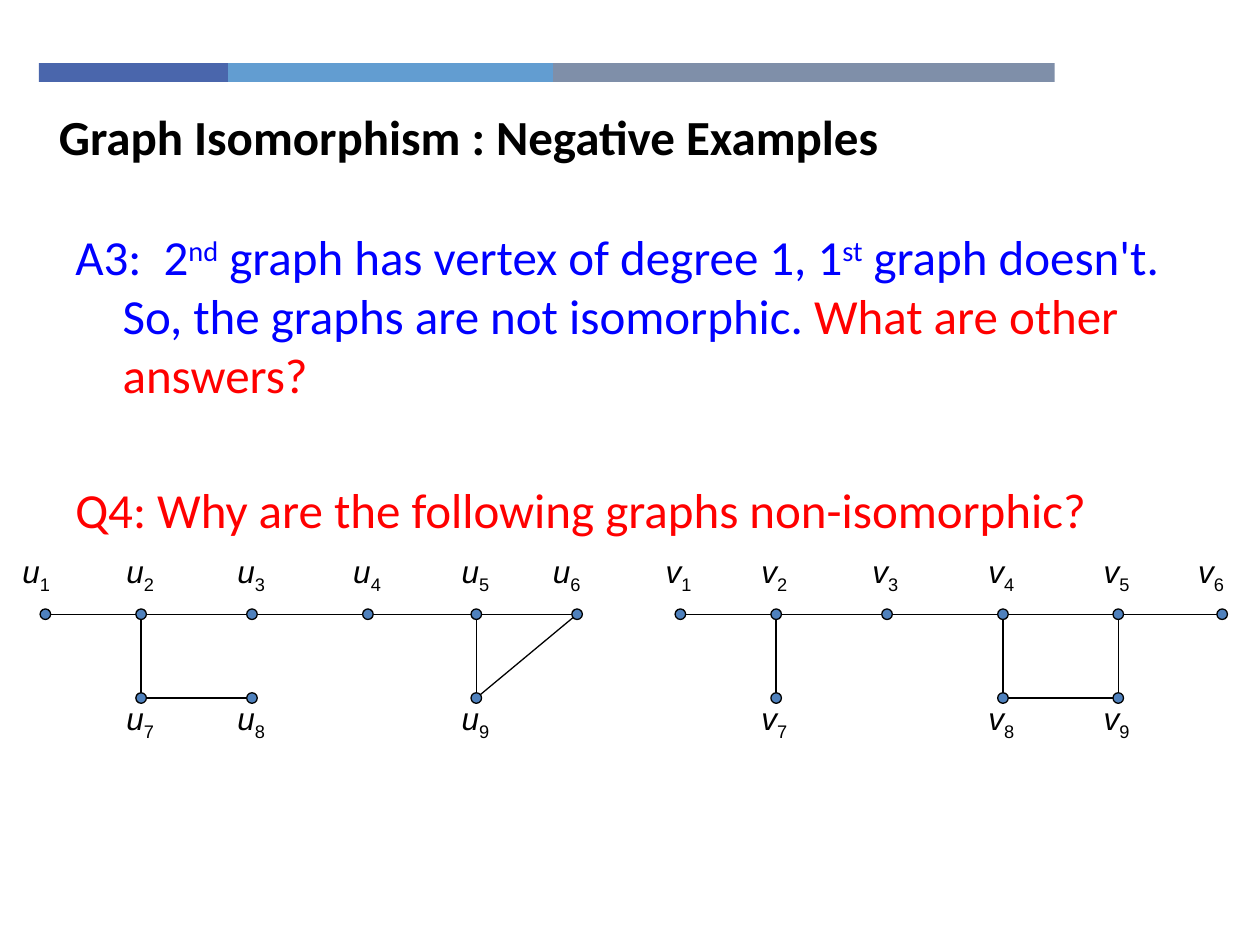
import math
from dataclasses import dataclass

import pptx
import pptx.dml.color
import pptx.enum.shapes
import pptx.util


@dataclass(frozen=True)
class Theme:
    text_font: str = "Calibri"
    label_font: str = "Arial"
    heading_size: int = 28
    label_size: int = 18
    line_width: float = 0.75
    black: str = "000000"
    answer: str = "0000FF"
    question: str = "FF0000"
    vertex: str = "4F81BD"
    bands: tuple = ("4A66AC", "629DD1", "7F8FA9")


class Deck:
    """Draws styled elements on one slide, placed on a 100 by 75 grid."""

    COLS, ROWS = 100, 75
    RADIUS = 0.42

    def __init__(self, theme):
        self.theme = theme
        self.prs = pptx.Presentation()
        self.prs.slide_width = pptx.util.Inches(10)
        self.prs.slide_height = pptx.util.Inches(7.5)
        self.s = self.prs.slides.add_slide(self.prs.slide_layouts[6])

    def x(self, cols):
        return round(self.prs.slide_width * cols / self.COLS)

    def y(self, rows):
        return round(self.prs.slide_height * rows / self.ROWS)

    def place(self, left, top, width, height):
        return self.x(left), self.y(top), self.x(width), self.y(height)

    def color(self, value):
        return pptx.dml.color.RGBColor.from_string(value)

    def shape(self, kind, box, fill, line=None):
        sp = self.s.shapes.add_shape(kind, *self.place(*box))
        sp.shadow.inherit = False
        sp.fill.solid()
        sp.fill.fore_color.rgb = self.color(fill)
        if line:
            sp.line.color.rgb = self.color(line)
            sp.line.width = pptx.util.Pt(self.theme.line_width)
        else:
            sp.line.fill.background()

    def band(self, left, width, fill):
        self.shape(pptx.enum.shapes.MSO_SHAPE.RECTANGLE, (left, 5, width, 1.5), fill)

    def vertex(self, x, y):
        r = self.RADIUS
        self.shape(pptx.enum.shapes.MSO_SHAPE.OVAL, (x - r, y - r, 2 * r, 2 * r),
                   self.theme.vertex, self.theme.black)

    def edge(self, start, end):
        (x1, y1), (x2, y2) = start, end
        trim = self.RADIUS / math.hypot(x2 - x1, y2 - y1)
        dx, dy = (x2 - x1) * trim, (y2 - y1) * trim
        line = self.s.shapes.add_connector(
            pptx.enum.shapes.MSO_CONNECTOR.STRAIGHT,
            self.x(x1 + dx), self.y(y1 + dy), self.x(x2 - dx), self.y(y2 - dy))
        line.line.color.rgb = self.color(self.theme.black)
        line.line.width = pptx.util.Pt(self.theme.line_width)
        line._element.spPr.append(pptx.oxml.parse_xml(
            '<a:effectLst xmlns:a="http://schemas.openxmlformats.org/drawingml/2006/main"/>'))

    def text(self, *box):
        tf = self.s.shapes.add_textbox(*self.place(*box)).text_frame
        tf.word_wrap = True
        return tf

    def style(self, p, font, size, color=None):
        p.font.name = font
        p.font.size = pptx.util.Pt(size)
        if color:
            p.font.color.rgb = self.color(color)

    def run(self, p, text, baseline=0):
        r = p.add_run()
        r.text = text
        if baseline:
            r._r.get_or_add_rPr().set("baseline", str(baseline * 1000))
        return r

    def title(self, text):
        p = self.text(3.7, 8, 71.6, 5.4).paragraphs[0]
        self.style(p, self.theme.text_font, self.theme.heading_size, self.theme.black)
        p.font.bold = True
        self.run(p, text)

    def body(self, paragraphs, gap):
        tf = self.text(5, 17.5, 90, 49.5)
        for i, runs in enumerate(paragraphs):
            p = tf.add_paragraph() if i else tf.paragraphs[0]
            pPr = p._p.get_or_add_pPr()
            pPr.set("marL", str(self.x(3.75)))
            pPr.set("indent", str(-self.x(3.75)))
            if i:
                p.space_before = pptx.util.Pt(gap)
            self.style(p, self.theme.text_font, self.theme.heading_size)
            for text, color, baseline in runs:
                self.run(p, text, baseline).font.color.rgb = self.color(color)

    def label(self, left, top, letter, index):
        p = self.text(left, top, 5.1, 5).paragraphs[0]
        self.style(p, self.theme.label_font, self.theme.label_size, self.theme.black)
        self.run(p, letter).font.italic = True
        self.run(p, index, -25)

    def graph(self, letter, upper, lower, edges, shifts):
        points = [(x, 48.75) for x in upper] + [(x, 55.4) for x in lower]
        for a, b in edges:
            self.edge(points[a - 1], points[b - 1])
        for i, (x, y) in enumerate(points, 1):
            self.vertex(x, y)
            top = 43.3 if i <= len(upper) else 55
            self.label(x - 2.15 + shifts.get(i, 0), top, letter, str(i))


def main():
    theme = Theme()
    deck = Deck(theme)
    left = 3.1
    for width, fill in zip((15, 25.8, 39.8), theme.bands):
        deck.band(left, width, fill)
        left += width
    deck.title("Graph Isomorphism : Negative Examples")
    blue, red = theme.answer, theme.question
    deck.body([
        [("A3:  2", blue, 0), ("nd", blue, 30),
         (" graph has vertex of degree 1, 1", blue, 0), ("st", blue, 30),
         (" graph doesn't. So, the graphs are not isomorphic.", blue, 0),
         (" What are other answers?", red, 0)],
        [("Q4: Why are the following graphs non-isomorphic?", red, 0)],
    ], gap=43.5)
    chain = [(i, i + 1) for i in range(1, 6)]
    deck.graph("u", (3.6, 11.2, 20, 29.2, 37.8, 45.8), (11.2, 20, 37.8),
               chain + [(2, 7), (7, 8), (5, 9), (9, 6)], {1: -0.65, 6: -0.75})
    deck.graph("v", (54, 61.6, 70.4, 79.6, 88.75, 97), (61.6, 79.6, 88.75),
               chain + [(2, 7), (4, 8), (5, 9), (8, 9)], {6: -0.75})
    deck.prs.save("out.pptx")


if __name__ == "__main__":
    main()
